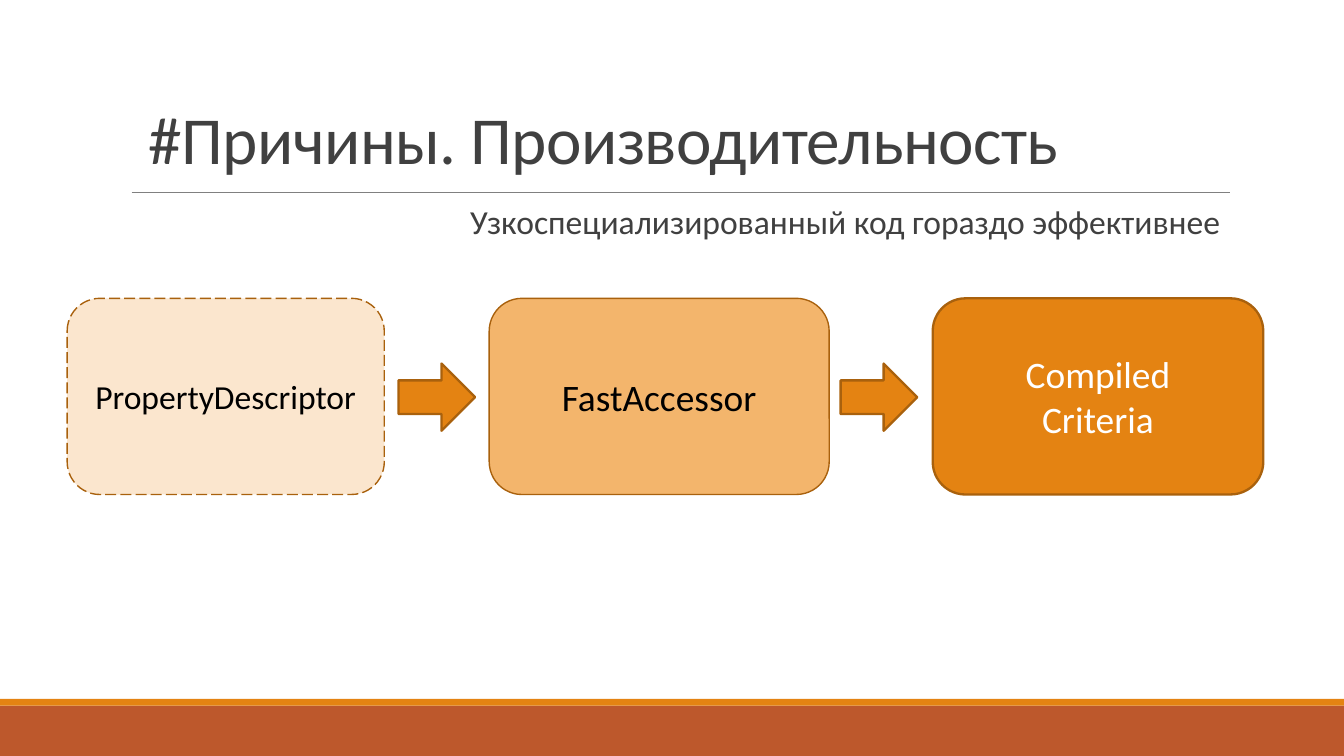
from pptx import Presentation
from pptx.dml.color import RGBColor
from pptx.enum.dml import MSO_LINE as Dash
from pptx.enum.shapes import MSO_CONNECTOR as Link, MSO_SHAPE as Kind
from pptx.enum.text import MSO_ANCHOR as Anchor, PP_ALIGN as Align
from pptx.oxml.xmlchemy import OxmlElement
from pptx.util import Inches, Pt


def put_text(shape, text, size=18, color="404040", align=Align.CENTER,
             anchor=Anchor.MIDDLE, inset=0.1, pad=0.05, lead=1, after=0, track=0):
    frame = shape.text_frame
    frame.word_wrap = True
    frame.vertical_anchor = anchor
    frame.margin_left = frame.margin_right = Inches(inset)
    frame.margin_top = frame.margin_bottom = Inches(pad)
    para = frame.paragraphs[0]
    para.text = text
    para.alignment = align
    para.line_spacing = lead
    para.space_after = Pt(after)
    for run in para.runs:
        run.font.name = "Calibri"
        run.font.size = Pt(size)
        run.font.color.rgb = RGBColor.from_string(color)
        if track:
            run.font._element.set("spc", str(track))
    return para


def add_box(kind, x, y, w, h, fill, line=None, width=1.25):
    shape = slide.shapes.add_shape(kind, Inches(x), Inches(y), Inches(w), Inches(h))
    shape.shadow.inherit = False
    shape.fill.solid()
    shape.fill.fore_color.rgb = RGBColor.from_string(fill)
    if line:
        shape.line.color.rgb = RGBColor.from_string(line)
        shape.line.width = Pt(width)
    else:
        shape.line.fill.background()
    return shape


ORANGE, BROWN = "E48312", "A9610D"

deck = Presentation()
deck.slide_width = Inches(10)
deck.slide_height = Inches(10 * 9 / 16)
slide = deck.slides.add_slide(deck.slide_layouts[6])

band = add_box(Kind.RECTANGLE, 0, 5.25, 10, 0.38, "BD582C")
band.height = deck.slide_height - band.top
add_box(Kind.RECTANGLE, 0, 5.2, 10, 0.05, ORANGE)

rule = slide.shapes.add_connector(
    Link.STRAIGHT, Inches(0.98), Inches(1.43), Inches(9.15), Inches(1.43))
rule.line.color.rgb = RGBColor.from_string("808080")
rule.line.width = Pt(0.5)
rule._element.spPr.append(OxmlElement("a:effectLst"))

title = slide.shapes.add_textbox(Inches(1.01), Inches(0.5), Inches(8.17), Inches(0.93))
put_text(title, "#Причины. Производительность", size=36, align=Align.LEFT,
         anchor=Anchor.BOTTOM, pad=0.1, lead=0.85, track=-30)

claim = slide.shapes.add_textbox(Inches(0.5), Inches(1.43), Inches(8.68), Inches(0.45))
para = put_text(claim, "Узкоспециализированный код гораздо эффективнее",
                align=Align.RIGHT, anchor=Anchor.TOP, pad=0.1, lead=0.9, after=1.5)
props = para._p.get_or_add_pPr()
props.set("marL", str(Inches(0.07)))
props.set("indent", str(Inches(-0.07)))

for x in (3, 6.29):
    arrow = add_box(Kind.DOWN_ARROW, x, 2.67, 0.5, 0.57, ORANGE, BROWN)
    arrow.rotation = 270

steps = [
    ("PropertyDescriptor", 0.5, 2.36, "FBE6CE", 0.75, 18, "000000", Dash.LONG_DASH),
    ("Compiled\vCriteria", 6.94, 2.46, ORANGE, 1.25, 20, "FFFFFF", None),
    ("FastAccessor", 3.64, 2.53, "F3B56C", 0.75, 20, "000000", None),
]
for text, x, w, fill, width, size, color, dash in steps:
    step = add_box(Kind.ROUNDED_RECTANGLE, x, 2.22, w, 1.46, fill, BROWN, width)
    if dash:
        step.line.dash_style = dash
    put_text(step, text, size=size, color=color)

deck.save("out.pptx")
